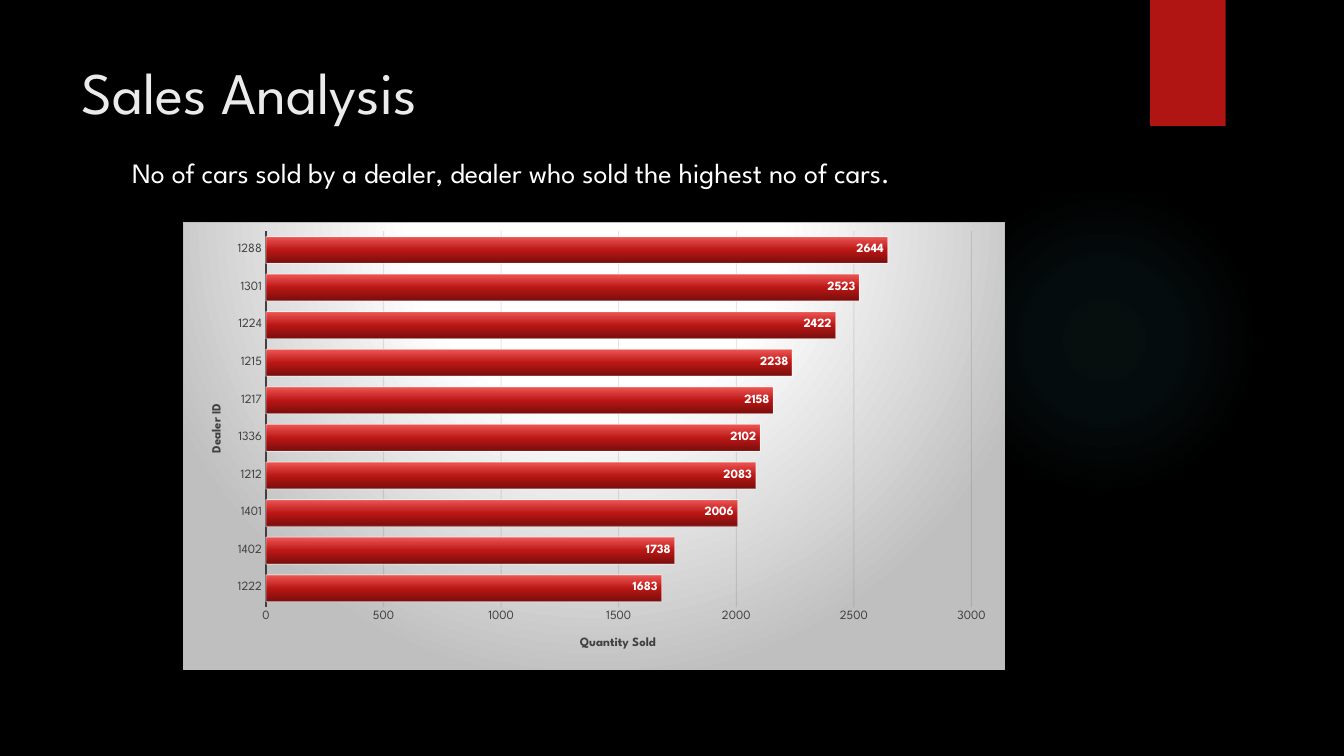
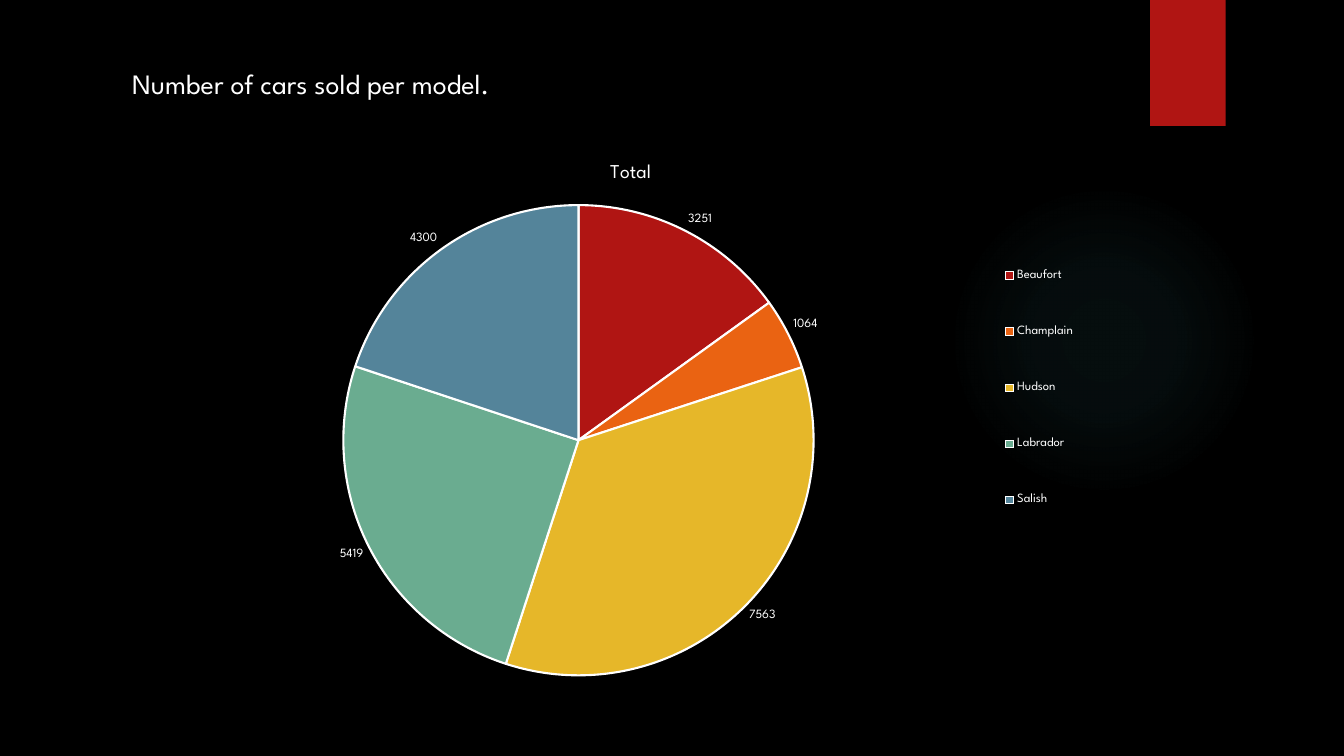
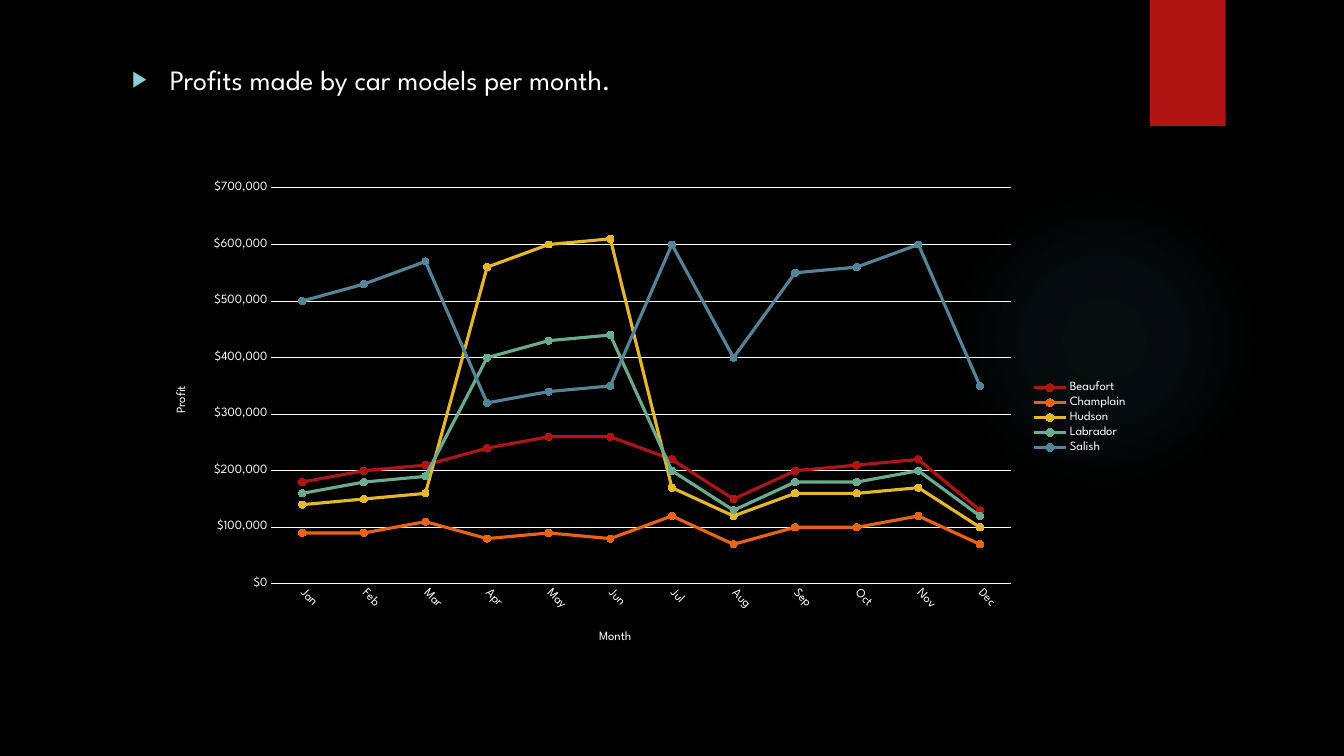
from pptx import Presentation
from pptx.chart.data import CategoryChartData as Data
from pptx.dml.color import RGBColor as RGB
from pptx.enum.chart import XL_CHART_TYPE as Kind, XL_LABEL_POSITION as Spot
from pptx.enum.chart import XL_LEGEND_POSITION as Side, XL_MARKER_STYLE as Mark
from pptx.enum.chart import XL_TICK_MARK as Tick
from pptx.enum.shapes import MSO_SHAPE as Form
from pptx.enum.text import MSO_ANCHOR as Anchor, MSO_AUTO_SIZE as Fit, PP_ALIGN as Align
from pptx.oxml import parse_xml
from pptx.oxml.ns import nsdecls, qn
from pptx.util import Pt

FONT = "League Spartan"
BLACK = RGB(0x00, 0x00, 0x00)
WHITE = RGB(0xFF, 0xFF, 0xFF)
PALE = RGB(0xEB, 0xEB, 0xEB)
GREY = RGB(0x40, 0x40, 0x40)
SILVER = RGB(0xBF, 0xBF, 0xBF)
INK = RGB(0x0D, 0x0D, 0x0D)
RED = RGB(0xB0, 0x15, 0x13)
ORANGE = RGB(0xEA, 0x63, 0x12)
GOLD = RGB(0xE6, 0xB7, 0x29)
GREEN = RGB(0x6A, 0xAC, 0x90)
BLUE = RGB(0x54, 0x84, 0x9A)
TEAL = RGB(0x50, 0xB9, 0xC1)
AQUA = RGB(0x8A, 0xD0, 0xD6)
DARK = RGB(0x76, 0x0E, 0x0D)
MID = RGB(0xB9, 0x16, 0x14)
LIGHT = RGB(0xED, 0x56, 0x54)
HUES = [RED, ORANGE, GOLD, GREEN, BLUE]
MODELS = ["Beaufort", "Champlain", "Hudson", "Labrador", "Salish"]
UP = '<a:lin ang="16200000" scaled="0"/>'


def find(root, *tags):
    return root.find(".//" + "/".join(qn(tag) for tag in tags))


def ring(left, top, right, low):
    sides = zip("ltrb", (left, top, right, low))
    rect = " ".join(f'{side}="{size * 1000}"' for side, size in sides)
    return f'<a:path path="circle"><a:fillToRect {rect}/></a:path>'


def blend(stops, shape):
    body = "".join(
        f'<a:gs pos="{pos * 1000}"><a:srgbClr val="{hue}">'
        f'<a:alpha val="{alpha * 1000}"/></a:srgbClr></a:gs>'
        for pos, hue, alpha in stops)
    return (f'<a:gradFill {nsdecls("a")} rotWithShape="1">'
            f'<a:gsLst>{body}</a:gsLst>{shape}</a:gradFill>')


def paint(root, grad):
    old = find(root, "a:gradFill")
    old.getparent().replace(old, parse_xml(grad))


def fade(root, alpha, *tags):
    hue = find(root, *tags, "a:ln", "a:solidFill", "a:srgbClr")
    hue.append(parse_xml(f'<a:alpha {nsdecls("a")} val="{alpha * 1000}"/>'))


def place(chart, tags, *area):
    node = find(chart.element, *tags)
    for old in node.findall(qn("c:layout")):
        node.remove(old)
    inner = '<c:layoutTarget val="inner"/>' if tags[-1] == "c:plotArea" else ""
    modes = '<c:xMode val="edge"/><c:yMode val="edge"/>'
    sizes = "".join(f'<c:{key} val="{val}"/>' for key, val in zip("xywh", area))
    spot = sum(kid.tag in (qn("c:tx"), qn("c:legendPos")) for kid in node)
    node.insert(spot, parse_xml(
        f'<c:layout {nsdecls("c")}><c:manualLayout>{inner}{modes}{sizes}'
        '</c:manualLayout></c:layout>'))


class Deck:
    def __init__(self):
        self.show = Presentation()
        self.show.slide_width, self.show.slide_height = Pt(960), Pt(540)
        self.slide = None

    def font(self, font, size, hue, bold=False):
        font.name, font.size, font.bold = FONT, Pt(size), bold
        font.color.rgb = hue

    def new(self):
        self.slide = self.show.slides.add_slide(self.show.slide_layouts[1])
        back = self.slide.background.fill
        back.solid()
        back.fore_color.rgb = BLACK
        glow = self.shape(Form.OVAL, 677.5, 131.8, 221.8, 221.8)
        glow.fill.gradient()
        stops = [(0, TEAL, 7), (36, TEAL, 6), (69, TEAL, 0)]
        paint(glow.element, blend(stops, ring(50, 50, 50, 50)))
        band = self.shape(Form.RECTANGLE, 821.5, 0, 54, 90)
        band.fill.solid()
        band.fill.fore_color.rgb = RED

    def shape(self, form, *box):
        shape = self.slide.shapes.add_shape(form, *map(Pt, box))
        shape.shadow.inherit = False
        shape.line.fill.background()
        return shape

    def text(self, holder, box, words, size, hue):
        holder.left, holder.top, holder.width, holder.height = map(Pt, box)
        frame = holder.text_frame
        frame.auto_size, frame.word_wrap = Fit.NONE, True
        frame.vertical_anchor = Anchor.TOP
        para = frame.paragraphs[0]
        para.alignment = Align.LEFT
        run = para.add_run()
        run.text = words
        self.font(run.font, size, hue)
        return para

    def title(self, words):
        self.text(self.slide.shapes.title, (51.1, 36, 740.9, 55.4), words, 42, PALE)

    def no_title(self):
        node = self.slide.shapes.title.element
        node.getparent().remove(node)

    def body(self, words, top, bullet=False):
        box = (87.1, top, 704.2, 492 - top)
        para = self.text(self.slide.placeholders[1], box, words, 20, WHITE)
        para.space_before = Pt(10)
        props = find(self.slide.placeholders[1].element, "a:pPr")
        dent = Pt(27) if bullet else 0
        props.set("marL", str(dent))
        props.set("indent", str(-dent))
        marks = ["<a:buNone {}/>"]
        if bullet:
            marks = [f'<a:buClr {{}}><a:srgbClr val="{AQUA}"/></a:buClr>',
                     '<a:buSzPct {} val="80000"/>',
                     '<a:buFont {} typeface="Arial"/>',
                     '<a:buChar {} char="▶"/>']
        for mark in marks:
            props.append(parse_xml(mark.format(nsdecls("a"))))

    def chart(self, kind, box, cats, rows, plot):
        data = Data()
        data.categories = cats
        for name, vals in rows:
            data.add_series(name, vals)
        chart = self.slide.shapes.add_chart(kind, *map(Pt, box), data).chart
        self.font(chart.font, 10, WHITE)
        chart.has_title = chart.has_legend = False
        chart.plots[0].vary_by_categories = kind == Kind.PIE
        place(chart, ["c:plotArea"], *plot)
        return chart

    def head(self, frame, words, size, hue, bold=False):
        run = frame.paragraphs[0].add_run()
        run.text = words
        self.font(run.font, size, hue, bold)

    def legend(self, chart, *area):
        chart.has_legend = True
        chart.legend.position = Side.RIGHT
        chart.legend.include_in_layout = False
        self.font(chart.legend.font, 9, WHITE)
        place(chart, ["c:legend"], *area)

    def labels(self, plot, spot, bold=False):
        plot.has_data_labels = True
        labels = plot.data_labels
        labels.show_value, labels.position = True, spot
        self.font(labels.font, 9, WHITE, bold)

    def axis(self, chart, tag, words, hue, spot, bold=False, turn=False):
        axis = chart.category_axis if tag == "c:catAx" else chart.value_axis
        axis.major_tick_mark = axis.minor_tick_mark = Tick.NONE
        self.font(axis.tick_labels.font, 9, hue)
        self.head(axis.axis_title.text_frame, words, 9, hue, bold)
        if turn:
            frame = find(axis.axis_title.element, "a:bodyPr")
            frame.set("rot", "-5400000")
            frame.set("vert", "horz")
        place(chart, [tag, "c:title"], *spot)
        return axis

    def scale(self, axis, top, step, hue):
        axis.minimum_scale, axis.maximum_scale, axis.major_unit = 0, top, step
        axis.has_major_gridlines = True
        self.line(axis.major_gridlines.format.line, hue, 0.75)
        axis.format.line.fill.background()

    def line(self, line, hue, width):
        line.color.rgb = hue
        line.width = Pt(width)


def dealers(deck):
    deck.new()
    deck.title("Sales Analysis")
    deck.body("No of cars sold by a dealer, dealer who sold the highest no of cars.", 107.3)
    cats = "1222 1402 1401 1212 1336 1217 1215 1224 1301 1288".split()
    sold = [1683, 1738, 2006, 2083, 2102, 2158, 2238, 2422, 2523, 2644]
    chart = deck.chart(Kind.BAR_CLUSTERED, (131, 158.4, 586.8, 320.4), cats,
                       [("Series 1", sold)], (0.1, 0.02, 0.86, 0.84))
    root = chart.element
    bars = chart.plots[0]
    bars.gap_width = 40
    look = bars.series[0].format
    look.fill.gradient()
    paint(root, blend([(0, DARK, 100), (48, MID, 100), (100, LIGHT, 100)], UP))
    deck.line(look.line, WHITE, 0.75)
    fade(root, 50, "c:ser", "c:spPr")
    deck.labels(bars, Spot.INSIDE_END, True)
    names = deck.axis(chart, "c:catAx", "Dealer ID", GREY, (0.03, 0.4), True, True)
    deck.line(names.format.line, GREY, 1.5)
    vals = deck.axis(chart, "c:valAx", "Quantity Sold", GREY, (0.48, 0.92), True)
    deck.scale(vals, 3000, 500, INK)
    fade(root, 10, "c:majorGridlines", "c:spPr")
    stops = [(0, WHITE, 100), (39, WHITE, 100), (100, SILVER, 100)]
    find(root, "c:chart").addnext(parse_xml(
        f'<c:spPr {nsdecls("c", "a")}>{blend(stops, ring(50, -80, 50, 180))}'
        f'<a:ln w="{Pt(0.75)}"><a:solidFill><a:srgbClr val="{SILVER}"/>'
        '</a:solidFill></a:ln></c:spPr>'))


def models(deck):
    deck.new()
    deck.no_title()
    deck.body("Number of cars sold per model.", 43.9)
    chart = deck.chart(Kind.PIE, (110.9, 97.9, 671.8, 393.8), MODELS,
                       [("Total", [3251, 1064, 7563, 5419, 4300])],
                       (0.2, 0.12, 0.5, 0.86))
    chart.has_title = True
    deck.head(chart.chart_title.text_frame, "Total", 14, WHITE)
    place(chart, ["c:chart", "c:title"], 0.48, 0.04)
    pie = chart.plots[0]
    for spot, hue in enumerate(HUES):
        look = pie.series[0].points[spot].format
        look.fill.solid()
        look.fill.fore_color.rgb = hue
        deck.line(look.line, WHITE, 1.5)
    deck.labels(pie, Spot.OUTSIDE_END)
    deck.legend(chart, 0.89, 0.16, 0.1, 0.59)


def profits(deck):
    deck.new()
    deck.no_title()
    deck.body("Profits made by car models per month.", 41, True)
    months = "Jan Feb Mar Apr May Jun Jul Aug Sep Oct Nov Dec".split()
    tens = [
        [18, 20, 21, 24, 26, 26, 22, 15, 20, 21, 22, 13],
        [9, 9, 11, 8, 9, 8, 12, 7, 10, 10, 12, 7],
        [14, 15, 16, 56, 60, 61, 17, 12, 16, 16, 17, 10],
        [16, 18, 19, 40, 43, 44, 20, 13, 18, 18, 20, 12],
        [50, 53, 57, 32, 34, 35, 60, 40, 55, 56, 60, 35],
    ]
    rows = [(name, [val * 10000 for val in row]) for name, row in zip(MODELS, tens)]
    chart = deck.chart(Kind.LINE_MARKERS, (109.4, 123.8, 704.2, 349.2), months,
                       rows, (0.12, 0.03, 0.75, 0.81))
    for line, hue in zip(chart.plots[0].series, HUES):
        line.smooth = False
        deck.line(line.format.line, hue, 2.25)
        mark = line.marker
        mark.style, mark.size = Mark.CIRCLE, 5
        mark.format.fill.solid()
        mark.format.fill.fore_color.rgb = hue
        deck.line(mark.format.line, hue, 0.75)
    names = deck.axis(chart, "c:catAx", "Month", WHITE, (0.45, 0.93))
    deck.line(names.format.line, WHITE, 0.75)
    find(chart.element, "c:catAx", "c:txPr", "a:bodyPr").set("rot", "2700000")
    vals = deck.axis(chart, "c:valAx", "Profit", WHITE, (0.02, 0.43), turn=True)
    deck.scale(vals, 700000, 100000, WHITE)
    vals.tick_labels.number_format = "[$$-409]#,##0;[Red][$$-409]#,##0"
    vals.tick_labels.number_format_is_linked = False
    deck.legend(chart, 0.89, 0.42, 0.1, 0.16)


def main():
    deck = Deck()
    for build in (dealers, models, profits):
        build(deck)
    deck.show.save("out.pptx")


if __name__ == "__main__":
    main()
